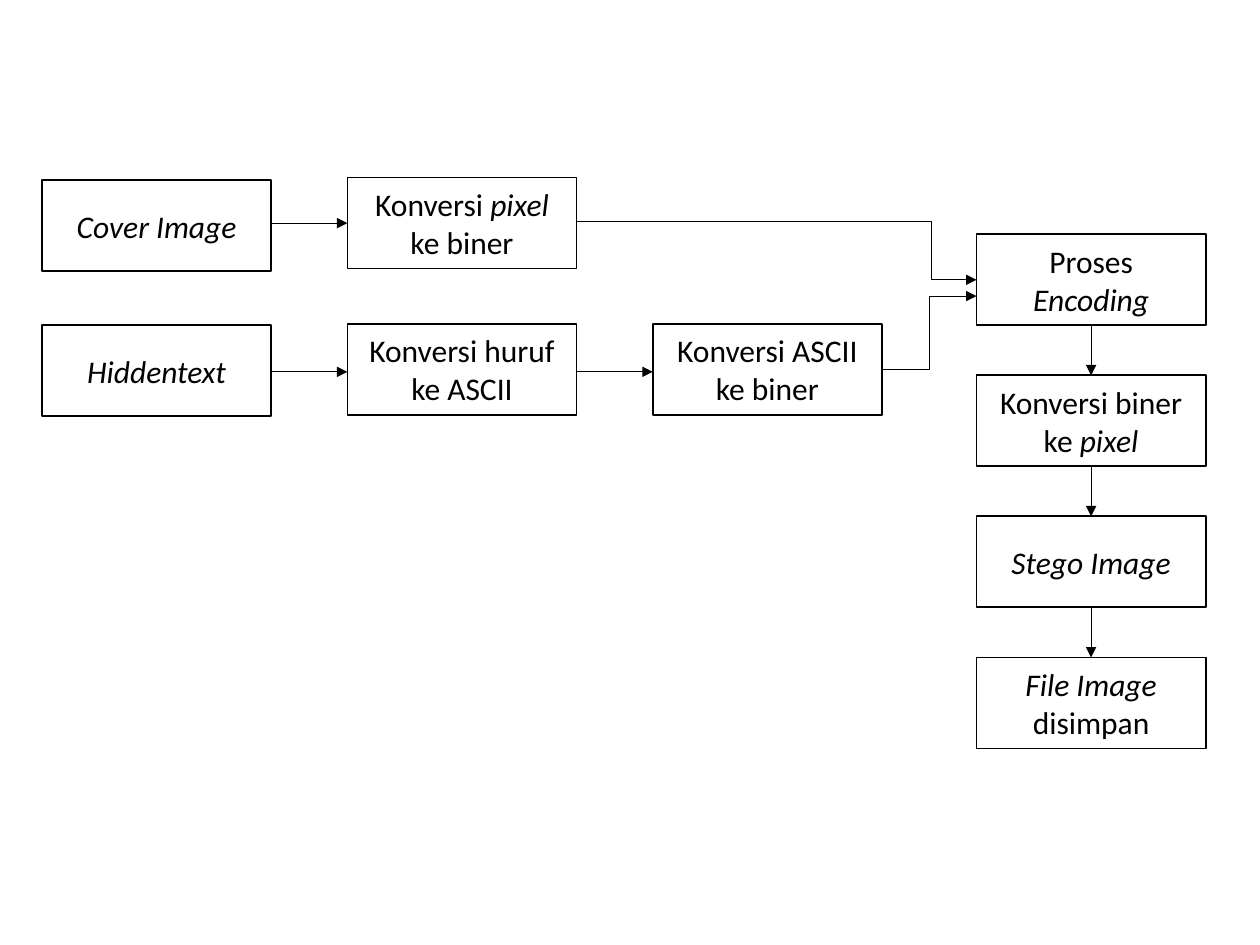
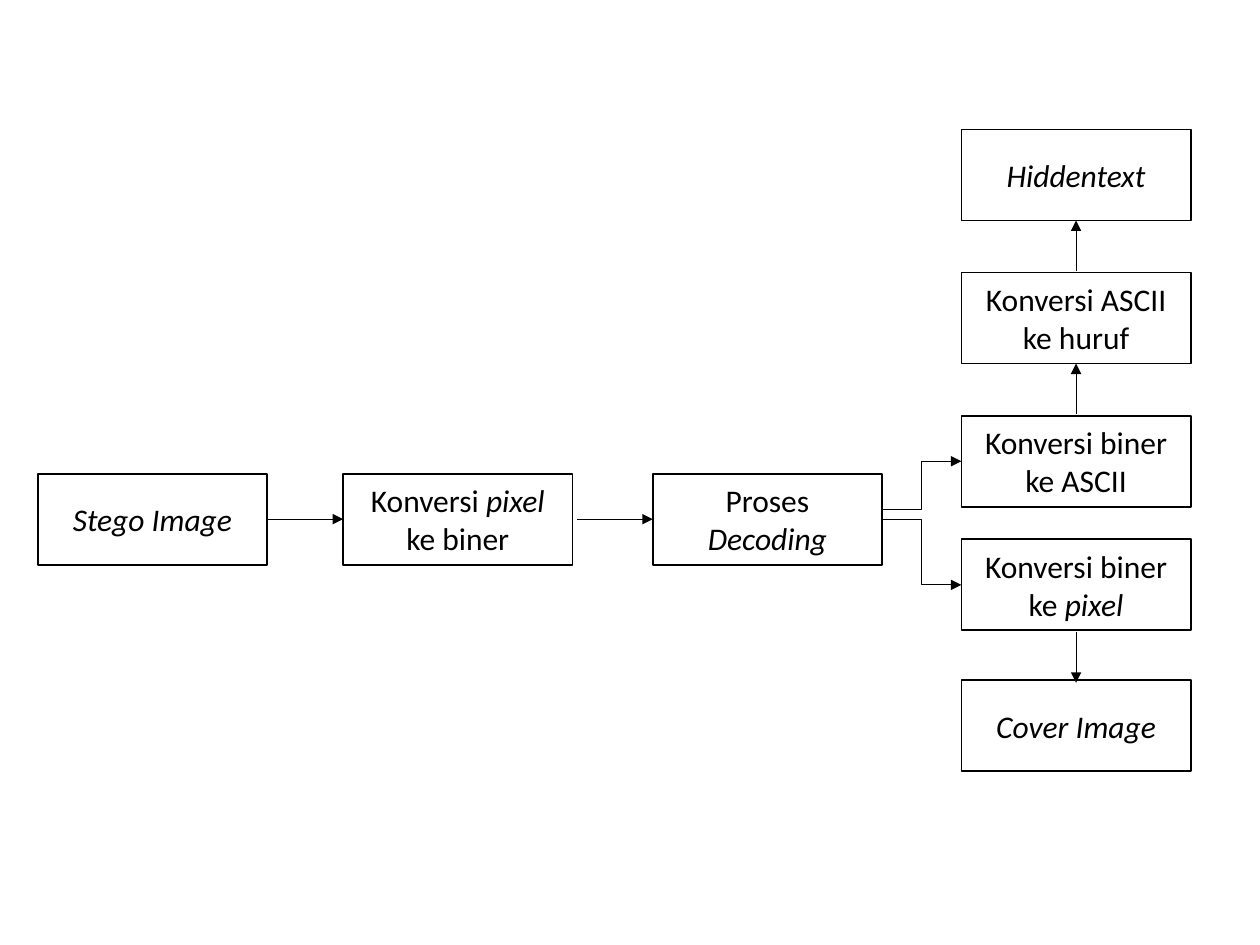
from lxml.etree import SubElement
from pptx import Presentation
from pptx.dml.color import RGBColor
from pptx.enum.shapes import MSO_CONNECTOR, MSO_SHAPE
from pptx.enum.text import MSO_ANCHOR, PP_ALIGN
from pptx.oxml.ns import qn
from pptx.util import Pt

INK, PAPER = "000000", "FFFFFF"
FONT = "Calibri"
W, H = 131, 52
PITCH = 174.5


def color(value):
    return RGBColor.from_string(value)


def add_step(s, x, y, text):
    """Text between asterisks is set in italics."""
    sp = s.shapes.add_shape(MSO_SHAPE.FLOWCHART_PROCESS, Pt(x), Pt(y), Pt(W), Pt(H))
    sp.shadow.inherit = False
    sp.fill.solid()
    sp.fill.fore_color.rgb = color(PAPER)
    sp.line.color.rgb = color(INK)
    sp.line.width = Pt(1)
    tf = sp.text_frame
    tf.word_wrap = True
    tf.vertical_anchor = MSO_ANCHOR.MIDDLE
    p = tf.paragraphs[0]
    p.alignment = PP_ALIGN.CENTER
    for i, part in enumerate(text.split("*")):
        if part:
            r = p.add_run()
            r.text = part
            r.font.name = FONT
            r.font.size = Pt(18)
            r.font.italic = i % 2 == 1
            r.font.color.rgb = color(INK)


def add_arrow(s, x1, y1, x2, y2, bend=None):
    kind = MSO_CONNECTOR.ELBOW if bend else MSO_CONNECTOR.STRAIGHT
    c = s.shapes.add_connector(kind, Pt(x1), Pt(y1), Pt(x2), Pt(y2))
    c.line.color.rgb = color(INK)
    c.line.width = Pt(0.5)
    spPr = c._element.spPr
    SubElement(spPr.find(qn("a:ln")), qn("a:tailEnd"), type="triangle")
    SubElement(spPr, qn("a:effectLst"))
    if bend:
        geom = spPr.find(qn("a:prstGeom"))
        guides = geom.find(qn("a:avLst"))
        if guides is None:
            guides = SubElement(geom, qn("a:avLst"))
        SubElement(guides, qn("a:gd"), name="adj1", fmla=f"val {round(bend * 100000)}")


def encoding_flow(s, x, y):
    second, third, last = x + PITCH, x + 2 * PITCH, x + 534
    cover_y, text_y, process_y = y + 26, y + 111, y + 32.4

    add_step(s, x, y + 1.5, "*Cover Image*")
    add_step(s, second, y, "Konversi *pixel *ke biner")
    add_step(s, x, y + 84.3, "*Hiddentext*")
    add_step(s, second, y + 83.5, "Konversi huruf ke ASCII")
    add_step(s, third, y + 83.5, "Konversi ASCII ke biner")
    add_arrow(s, x + W, cover_y, second, cover_y)
    add_arrow(s, x + W, text_y, second, text_y)
    add_arrow(s, second + W, text_y, third, text_y)

    outputs = ["Proses *Encoding*", "Konversi biner ke *pixel*",
               "*Stego Image*", "*File Image *disimpan"]
    gap = 28.6
    for i, text in enumerate(outputs):
        top = process_y + i * (H + gap)
        add_step(s, last, top, text)
        if i:
            add_arrow(s, last + W / 2, top - gap, last + W / 2, top)

    add_arrow(s, second + W, y + 25.2, last, process_y + H / 2, 0.887)
    add_arrow(s, third + W, y + 109.5, last, y + 67.7, 0.5)


def decoding_flow(s, x, y):
    second, third, last = x + PITCH, x + 351.4, x + 527.8
    row_y = y + 196.7
    mid_y = row_y + H / 2
    mid_x = last + W / 2

    add_step(s, x, row_y, "*Stego Image*")
    add_step(s, second, row_y, "Konversi *pixel *ke biner")
    add_step(s, third, row_y, "Proses *Decoding*")
    add_arrow(s, x + W, mid_y, second, mid_y)
    add_arrow(s, second + W + 2.7, mid_y, third, mid_y)

    gap = 29.8
    for i, text in enumerate(["*Hiddentext*", "Konversi ASCII ke huruf",
                              "Konversi biner ke ASCII"]):
        top = y + i * (H + gap)
        add_step(s, last, top, text)
        if i:
            add_arrow(s, mid_x, top - 1, mid_x, top - gap)
    ascii_y = top + H / 2

    pixel_y, cover_y = y + 234.2, y + 314.8
    add_step(s, last, pixel_y, "Konversi biner ke *pixel*")
    add_step(s, last, cover_y, "*Cover Image*")
    add_arrow(s, mid_x, pixel_y + H + 1.2, mid_x, cover_y + 1.4)

    add_arrow(s, third + W, mid_y - 5.8, last, ascii_y, 0.5)
    add_arrow(s, third + W, mid_y, last, pixel_y + H / 2, 0.5)


def main():
    prs = Presentation()
    prs.slide_width, prs.slide_height = Pt(720), Pt(540)
    for flow, x, y in [(encoding_flow, 24, 101.5), (decoding_flow, 21.6, 74)]:
        flow(prs.slides.add_slide(prs.slide_layouts[6]), x, y)
    prs.save("out.pptx")


if __name__ == "__main__":
    main()
